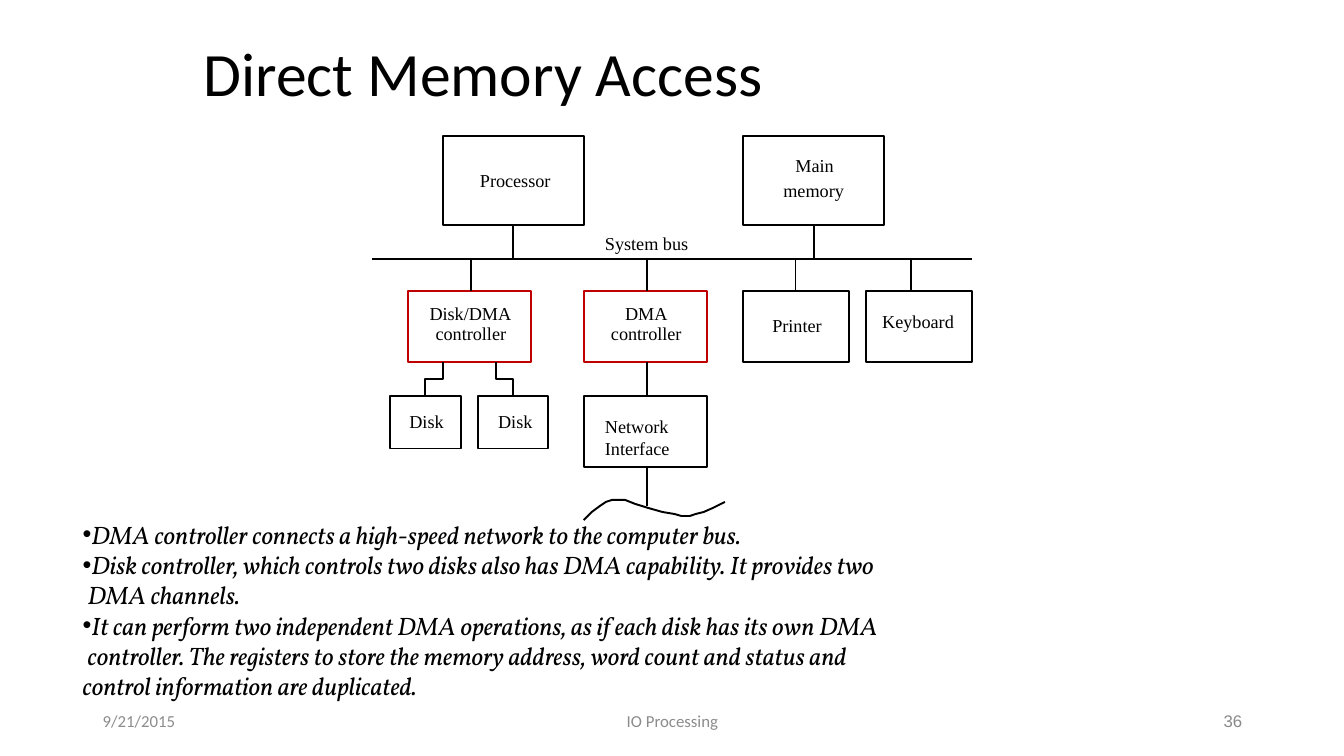
from dataclasses import dataclass

from lxml.etree import SubElement
from pptx import Presentation
from pptx.dml.color import RGBColor
from pptx.enum.shapes import MSO_CONNECTOR as Conn, MSO_SHAPE as Shape
from pptx.enum.text import MSO_ANCHOR as Anchor, MSO_AUTO_SIZE as Auto, PP_ALIGN as Align
from pptx.oxml.ns import qn
from pptx.util import Inches, Pt


@dataclass(frozen=True)
class Theme:
    black: str = "000000"
    white: str = "FFFFFF"
    red: str = "C00000"
    grey: str = "8C8C8C"
    number_grey: str = "898989"
    heading: str = "Calibri"
    label: str = "Times New Roman"
    body: str = "Vollkorn"
    number: str = "Arial"
    title_size: float = 44
    body_size: float = 18
    label_size: float = 13
    footer_size: float = 12
    line: float = 1.38
    accent_line: float = 1.5


@dataclass(frozen=True)
class Box:
    left: float
    top: float
    width: float
    height: float
    accent: bool = False


@dataclass(frozen=True)
class Label:
    text: str
    left: float
    top: float
    width: float
    height: float = 0.22


@dataclass(frozen=True)
class Wire:
    x: float
    top: float
    bottom: float


@dataclass(frozen=True)
class Footer:
    text: str
    left: float
    width: float
    align: Align
    font: str
    color: str


@dataclass(frozen=True)
class Line:
    text: str
    bullet: bool = True
    margin: float = 0


T = Theme()
BUS_Y, DEVICE_Y, DEVICE_END, LOWER_Y = 2.57, 2.89, 3.59, 3.93

BOXES = [
    Box(4.39, 1.35, 1.4, 0.88),
    Box(7.37, 1.35, 1.4, 0.88),
    Box(4.05, DEVICE_Y, 1.22, 0.7, accent=True),
    Box(5.79, DEVICE_Y, 1.22, 0.7, accent=True),
    Box(7.37, DEVICE_Y, 1.05, 0.7),
    Box(8.59, DEVICE_Y, 1.05, 0.7),
    Box(3.87, LOWER_Y, 0.7, 0.52),
    Box(4.74, LOWER_Y, 0.7, 0.52),
    Box(5.79, LOWER_Y, 1.22, 0.7),
]
LABELS = [
    Label("Processor", 4.76, 1.68, 0.82),
    Label("Main", 7.89, 1.53, 0.4),
    Label("memory", 7.77, 1.78, 0.66),
    Label("System bus", 6, 2.3, 0.95),
    Label("Disk/DMA", 4.26, 3, 0.81),
    Label("controller", 4.32, 3.2, 0.75),
    Label("DMA", 6.2, 3, 0.42),
    Label("controller", 6.06, 3.2, 0.75),
    Label("Printer", 7.66, 3.12, 0.54),
    Label("Keyboard", 8.75, 3.08, 0.78),
    Label("Disk", 4.06, 4.07, 0.35),
    Label("Disk", 4.94, 4.07, 0.35),
    Label("Network\nInterface", 6, 4.12, 0.71, 0.44),
]
WIRES = [
    *(Wire(x, 2.24, BUS_Y) for x in (5.09, 8.07)),
    *(Wire(x, BUS_Y, DEVICE_Y) for x in (4.67, 6.42, 7.89, 9.04)),
    Wire(6.42, DEVICE_END, LOWER_Y),
    Wire(6.42, 4.63, 5.02),
]
DISK_LINKS = [(4.22, 4.39), (5.09, 4.92)]
NETWORK_CURVE = [
    (5.79, 5.16), (5.87, 5.08), (5.95, 5.02), (6.01, 4.98), (6.07, 4.96), (6.2, 4.96),
    (6.3, 5), (6.43, 5.04), (6.57, 5.08), (6.69, 5.1), (6.76, 5.12), (6.84, 5.12),
    (6.9, 5.1), (6.98, 5.08), (7.07, 5.04), (7.19, 4.98),
]
NOTES = [
    Line("DMA controller connects a high-speed network to the computer bus."),
    Line("Disk controller, which controls two disks also has DMA capability. It provides two"),
    Line("DMA channels.", False, 0.05),
    Line("It can perform two independent DMA operations, as if each disk has its own DMA"),
    Line("controller. The registers to store the memory address, word count and status and", False, 0.05),
    Line("control information are duplicated.", False),
]
FOOTERS = [
    Footer("9/21/2015", 0.92, 3, Align.LEFT, T.heading, T.grey),
    Footer("IO Processing", 4.42, 4.5, Align.CENTER, T.heading, T.grey),
    Footer("36", 9.42, 3, Align.RIGHT, T.number, T.number_grey),
]


def place(sp, left: float, top: float, width: float, height: float) -> None:
    sp.left, sp.top, sp.width, sp.height = map(Inches, (left, top, width, height))


def write(p, text: str, *, font: str, size: float, color: str = T.black,
          italic: bool = False, align: Align = Align.LEFT, spacing: float = 1.0) -> None:
    p.alignment, p.line_spacing, p.space_before = align, spacing, Pt(0)
    r = p.add_run()
    r.text = text
    r.font.name, r.font.size, r.font.italic = font, Pt(size), italic
    r.font.color.rgb = RGBColor.from_string(color)


def set_line(sp, color: str = T.black, width: float = T.line) -> None:
    sp.line.color.rgb = RGBColor.from_string(color)
    sp.line.width = Pt(width)


def add_box(s, box: Box) -> None:
    sp = s.shapes.add_shape(Shape.RECTANGLE, 0, 0, 0, 0)
    place(sp, box.left, box.top, box.width, box.height)
    sp.shadow.inherit = False
    sp.fill.solid()
    sp.fill.fore_color.rgb = RGBColor.from_string(T.white)
    set_line(sp, *((T.red, T.accent_line) if box.accent else ()))


def add_label(s, label: Label) -> None:
    sp = s.shapes.add_textbox(0, 0, 0, 0)
    place(sp, label.left, label.top, label.width, label.height)
    tf = sp.text_frame
    tf.margin_left = tf.margin_right = tf.margin_top = tf.margin_bottom = 0
    tf.word_wrap, tf.auto_size = False, Auto.SHAPE_TO_FIT_TEXT
    for i, text in enumerate(label.text.split("\n")):
        p = tf.add_paragraph() if i else tf.paragraphs[0]
        write(p, text, font=T.label, size=T.label_size)


def add_line(s, x1: float, y1: float, x2: float, y2: float) -> None:
    c = s.shapes.add_connector(Conn.STRAIGHT, *map(Inches, (x1, y1, x2, y2)))
    set_line(c)
    SubElement(c.element.spPr, qn("a:effectLst"))


def add_polyline(s, points: list[tuple[float, float]]) -> None:
    start, *rest = [(Inches(x), Inches(y)) for x, y in points]
    builder = s.shapes.build_freeform(*start)
    builder.add_line_segments(rest, close=False)
    sp = builder.convert_to_shape()
    sp.shadow.inherit = False
    sp.fill.background()
    set_line(sp)


def add_notes(sp) -> None:
    place(sp, 0.72, 5.1, 10.78, 1.92)
    tf = sp.text_frame
    tf.word_wrap, tf.auto_size, tf.vertical_anchor = True, Auto.NONE, Anchor.TOP
    for i, line in enumerate(NOTES):
        p = tf.add_paragraph() if i else tf.paragraphs[0]
        pPr = p._p.get_or_add_pPr()
        pPr.set("marL", str(Inches(line.margin)))
        pPr.set("indent", "0")
        if line.bullet:
            SubElement(pPr, qn("a:buFont"), typeface="Arial")
            SubElement(pPr, qn("a:buChar"), char="•")
        else:
            SubElement(pPr, qn("a:buNone"))
        write(p, line.text, font=T.body, size=T.body_size, italic=True)


def add_footer(s, footer: Footer) -> None:
    sp = s.shapes.add_textbox(0, 0, 0, 0)
    place(sp, footer.left, 6.95, footer.width, 0.4)
    tf = sp.text_frame
    tf.word_wrap, tf.vertical_anchor = True, Anchor.MIDDLE
    write(tf.paragraphs[0], footer.text, font=footer.font, size=T.footer_size,
          color=footer.color, align=footer.align)


def main() -> None:
    prs = Presentation()
    prs.slide_width, prs.slide_height = Inches(13.33), Inches(7.5)
    s = prs.slides.add_slide(prs.slide_layouts[1])
    title = s.shapes.title
    place(title, 1.92, 0.25, 9.08, 1.02)
    title.text_frame.vertical_anchor = Anchor.MIDDLE
    write(title.text_frame.paragraphs[0], "Direct Memory Access",
          font=T.heading, size=T.title_size, spacing=0.9)
    for box in BOXES:
        add_box(s, box)
    add_line(s, 3.69, BUS_Y, 9.64, BUS_Y)
    for wire in WIRES:
        add_line(s, wire.x, wire.top, wire.x, wire.bottom)
    for disk_x, port_x in DISK_LINKS:
        add_polyline(s, [(disk_x, LOWER_Y), (disk_x, 3.76), (port_x, 3.76), (port_x, DEVICE_END)])
    add_polyline(s, NETWORK_CURVE)
    for label in LABELS:
        add_label(s, label)
    add_notes(s.placeholders[1])
    for footer in FOOTERS:
        add_footer(s, footer)
    prs.save("out.pptx")


if __name__ == "__main__":
    main()
